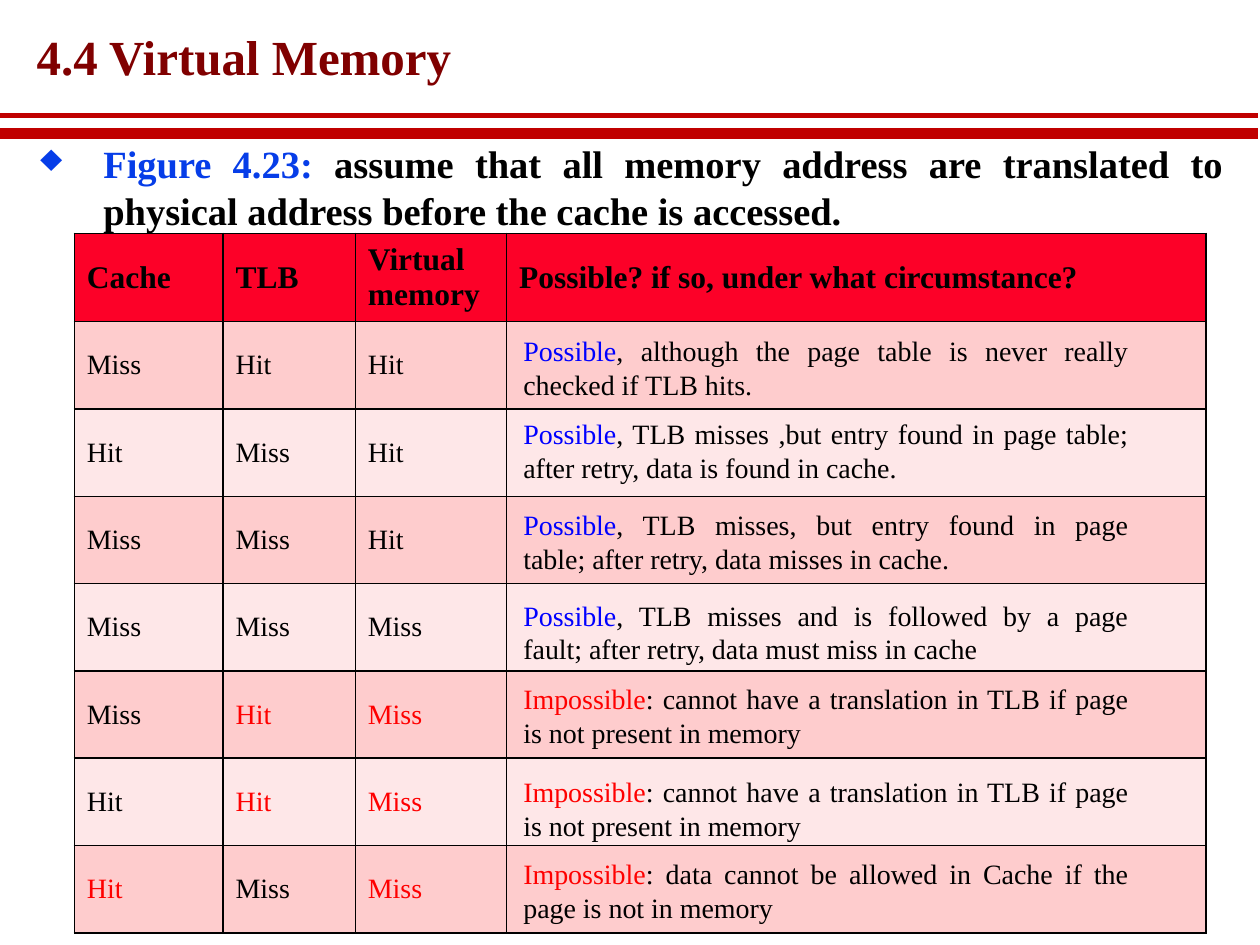
from pptx import Presentation
from pptx import util as u
from pptx.dml import color
from pptx.enum import shapes, text
from pptx.oxml import parse_xml
from pptx.oxml.ns import nsdecls

Pt = u.Pt
RGB = color.RGBColor
FONT = "Times New Roman"
BLACK = RGB(0, 0, 0)
MAROON = RGB(0x80, 0, 0)
CRIMSON = RGB(0xC0, 0, 0)
AZURE = RGB(0x06, 0x3D, 0xE8)
BLUE = RGB(0, 0, 0xFF)
RED = RGB(0xFF, 0, 0)
HEAD = RGB(0xFC, 0x01, 0x28)
BANDS = RGB(0xFE, 0xCC, 0xCD), RGB(0xFE, 0xE7, 0xE8)

ROW = 49.9
COLS = 85, 75.6, 86.4, 399.6
HEADS = "Cache", "TLB", "Virtual\vmemory", "Possible? if so, under what circumstance?"
CASES = [
    ("Miss", "Hit", "Hit"),
    ("Hit", "Miss", "Hit"),
    ("Miss", "Miss", "Hit"),
    ("Miss", "Miss", "Miss"),
    ("Miss", "Hit", "Miss"),
    ("Hit", "Hit", "Miss"),
    ("Hit", "Miss", "Miss"),
]
WRONG = {(4, 1), (4, 2), (5, 1), (5, 2), (6, 0), (6, 2)}
ABSENT = ": cannot have a translation in TLB if page is not present in memory"
NOTES = [
    (187.2, "Possible", ", although the page table is never really checked if TLB hits."),
    (234.7, "Possible", ", TLB misses ,but entry found in page table; after retry, data is found in cache."),
    (286.6, "Possible", ", TLB misses, but entry found in page\ntable; after retry, data misses in cache."),
    (338.4, "Possible", ", TLB misses and is followed by a page\nfault; after retry, data must miss in cache"),
    (385.9, "Impossible", ABSENT),
    (439.2, "Impossible", ABSENT),
    (486, "Impossible", ": data cannot be allowed in Cache if the\npage is not in memory"),
]


def style(run, size, tint, bold=False):
    font = run.font
    font.name, font.size, font.bold = FONT, Pt(size), bold
    font.color.rgb = tint


def write(para, parts, size, bold=False):
    for words, tint in parts:
        for i, line in enumerate(words.split("\n")):
            if i:
                para.add_line_break()
            run = para.add_run()
            run.text = line
            style(run, size, tint, bold)


def add_box(slide, x, y, w, h):
    frame = slide.shapes.add_textbox(Pt(x), Pt(y), Pt(w), Pt(h)).text_frame
    frame.word_wrap = True
    return frame


def add_title(slide, x, y, w, h):
    frame = add_box(slide, x, y, w, h)
    frame.word_wrap = False
    frame.margin_left = frame.margin_right = Pt(5)
    frame.margin_top = frame.margin_bottom = Pt(2)
    para = frame.paragraphs[0]
    para.line_spacing = 0.87
    write(para, [("4.4 Virtual Memory", MAROON)], 28, True)


def add_rules(slide, x, y, w, gap):
    for top, size in (y, 3), (y + gap, 6):
        rule = slide.shapes.add_connector(
            shapes.MSO_CONNECTOR.STRAIGHT, Pt(x), Pt(top), Pt(x + w), Pt(top))
        rule.line.color.rgb = CRIMSON
        rule.line.width = Pt(size)
        rule._element.spPr.append(parse_xml(f"<a:effectLst {nsdecls('a')}/>"))


def add_lead(slide, x, y, w, h):
    para = add_box(slide, x, y, w, h).paragraphs[0]
    para.alignment = text.PP_ALIGN.JUSTIFY
    para.line_spacing = Pt(27)
    para.space_after = Pt(6)
    props = para._p.get_or_add_pPr()
    props.set("marL", str(Pt(36)))
    props.set("indent", str(-Pt(36)))
    props.append(parse_xml(f'<a:buChar {nsdecls("a")} char="♦"/>'))
    write(para, [
        ("Figure 4.23: ", AZURE),
        ("assume that all memory address are translated to physical address "
         "before the cache is accessed.", BLACK),
    ], 22, True)


def set_cell(cell, words, fill, size, tint, bold):
    props = cell._tc.get_or_add_tcPr()
    for side in "LRTB":
        props.append(parse_xml(
            f'<a:ln{side} {nsdecls("a")} w="{Pt(1)}"><a:solidFill>'
            f'<a:srgbClr val="{BLACK}"/></a:solidFill></a:ln{side}>'))
    cell.fill.solid()
    cell.fill.fore_color.rgb = fill
    cell.vertical_anchor = text.MSO_ANCHOR.MIDDLE
    para = cell.text_frame.paragraphs[0]
    para.text = words
    for run in para.runs:
        style(run, size, tint, bold)


def add_grid(slide, x, y):
    count = len(CASES) + 1
    grid = slide.shapes.add_table(
        count, len(COLS), Pt(x), Pt(y), Pt(sum(COLS)), Pt(ROW * count)).table
    for col, width in zip(grid.columns, COLS):
        col.width = Pt(width)
    for row in grid.rows:
        row.height = Pt(ROW)
    for c, words in enumerate(HEADS):
        set_cell(grid.cell(0, c), words, HEAD, 18, BLACK, True)
    for r, case in enumerate(CASES):
        for c, words in enumerate((*case, "")):
            tint = RED if (r, c) in WRONG else BLACK
            set_cell(grid.cell(r + 1, c), words, BANDS[r % 2], 16, tint, False)


def add_notes(slide, x, w, h):
    for top, verdict, reason in NOTES:
        para = add_box(slide, x, top, w, h).paragraphs[0]
        para.alignment = text.PP_ALIGN.JUSTIFY
        tint = BLUE if verdict == "Possible" else RED
        write(para, [(verdict, tint), (reason, BLACK)], 16)


def main():
    deck = Presentation()
    deck.slide_width, deck.slide_height = Pt(720), Pt(540)
    slide = deck.slides.add_slide(deck.slide_layouts[6])
    add_title(slide, 16, 18, 251, 34)
    add_rules(slide, -1, 66.2, 720, 10.1)
    add_lead(slide, 16, 75.6, 690, 62)
    add_grid(slide, 42.5, 133.4)
    add_notes(slide, 292, 360, 46)
    deck.save("out.pptx")


if __name__ == "__main__":
    main()
